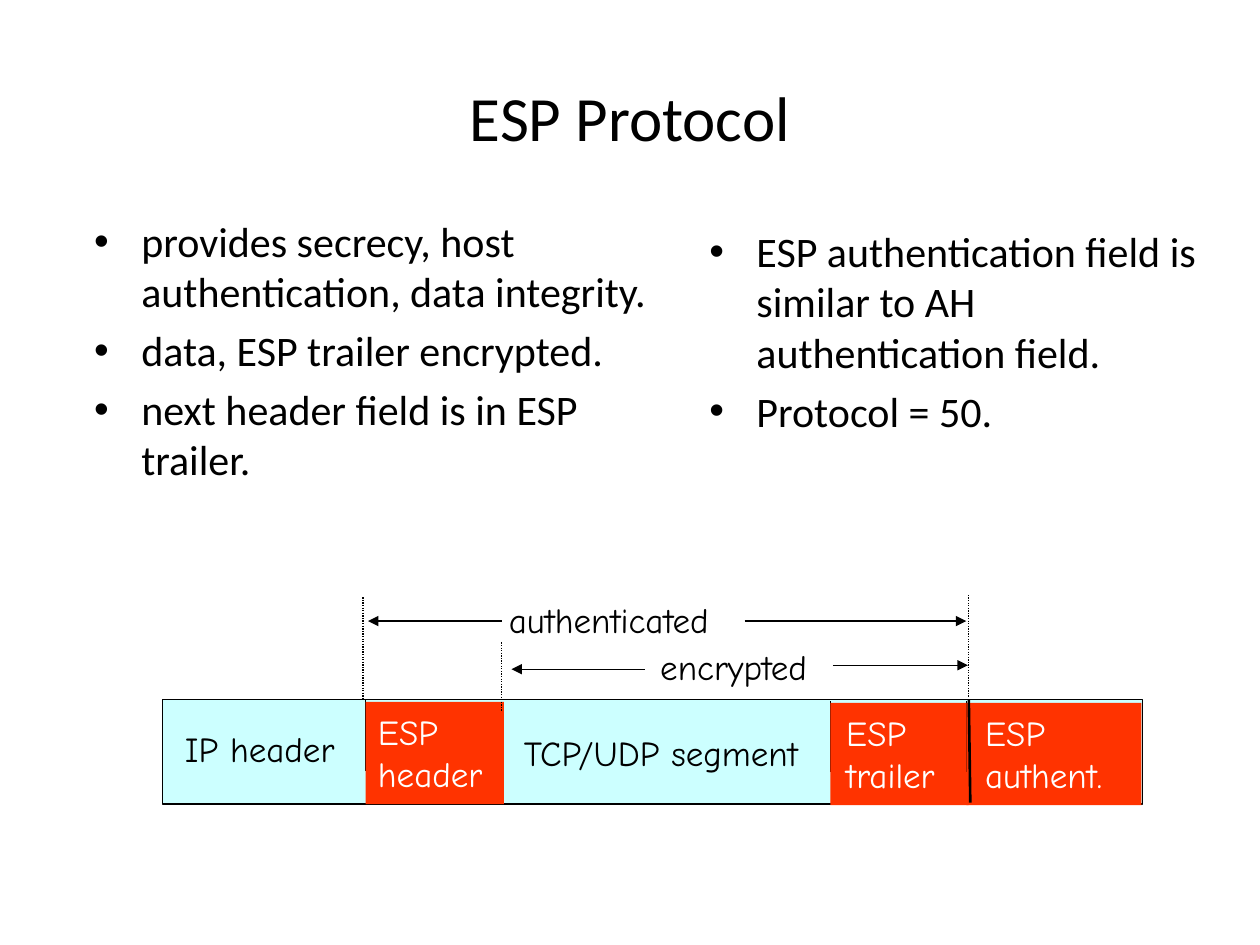
from lxml.etree import SubElement
from pptx import Presentation
from pptx.dml.color import RGBColor
from pptx.enum.dml import MSO_LINE
from pptx.enum.shapes import MSO_CONNECTOR, MSO_SHAPE
from pptx.enum.text import MSO_ANCHOR, PP_ALIGN
from pptx.oxml.ns import qn
from pptx.util import Cm, Pt

COLORS = {"black": "000000", "white": "FFFFFF", "cyan": "CCFFFF", "red": "FF3300"}
TITLE_FONT = {"name": "Calibri", "size": Pt(36)}
BODY_FONT = {"name": "Calibri", "size": Pt(24)}
LABEL_FONT = {"name": "Comic Neue", "size": Pt(20)}


def rgb(name):
    return RGBColor.from_string(COLORS[name])


def set_text(tf, lines, font, color="black"):
    tf.text = "\n".join(lines)
    for p in tf.paragraphs:
        for r in p.runs:
            for key, value in font.items():
                setattr(r.font, key, value)
            r.font.color.rgb = rgb(color)


def add_text(slide, box, lines, font, color="black", wrap=False):
    tf = slide.shapes.add_textbox(*map(Cm, box)).text_frame
    tf.word_wrap = wrap
    set_text(tf, lines, font, color)
    return tf


def add_rect(slide, box, fill, line=None):
    sp = slide.shapes.add_shape(MSO_SHAPE.RECTANGLE, *map(Cm, box))
    sp.shadow.inherit = False
    sp.fill.solid()
    sp.fill.fore_color.rgb = rgb(fill)
    if line:
        sp.line.color.rgb = rgb(line)
        sp.line.width = Pt(0.75)
    else:
        sp.line.fill.background()


def add_line(slide, ends, width=0.75, dotted=False, arrow=False):
    cxn = slide.shapes.add_connector(MSO_CONNECTOR.STRAIGHT, *map(Cm, ends))
    cxn.line.color.rgb = rgb("black")
    cxn.line.width = Pt(width)
    if dotted:
        cxn.line.dash_style = MSO_LINE.ROUND_DOT
    spPr = cxn.line._get_or_add_ln().getparent()
    if arrow:
        SubElement(spPr.find(qn("a:ln")), qn("a:tailEnd"), type="triangle")
    SubElement(spPr, qn("a:effectLst"))


def add_title(slide, box, text):
    title = slide.shapes.title
    for key, value in zip(("left", "top", "width", "height"), box):
        setattr(title, key, Cm(value))
    tf = title.text_frame
    tf.vertical_anchor = MSO_ANCHOR.MIDDLE
    set_text(tf, [text], TITLE_FONT)
    tf.paragraphs[0].alignment = PP_ALIGN.CENTER


def add_bullets(slide, box, lines):
    tf = add_text(slide, box, lines, BODY_FONT, wrap=True)
    for p in tf.paragraphs:
        p.space_before = Pt(4.8)
        pPr = p._p.get_or_add_pPr()
        pPr.set("marL", str(Cm(0.95)))
        pPr.set("indent", str(-Cm(0.95)))
        SubElement(pPr, qn("a:buFont"), typeface="Arial")
        SubElement(pPr, qn("a:buChar"), char="•")


def add_packet(slide, box):
    x, y, w, h = box
    bar_top, bar_h = 2.16, h - 2.16

    def line(x1, y1, x2, y2, **style):
        add_line(slide, (x + x1, y + y1, x + x2, y + y2), **style)

    # Whole packet
    add_rect(slide, (x, y + bar_top, w, bar_h), "cyan", "black")

    # Plain fields and the names of the two spans
    for text, lx, ly, lw in (("IP header", 0.2, 2.61, 3.76),
                             ("TCP/UDP segment", 7.03, 2.69, 6.5),
                             ("encrypted", 9.78, 0.94, 3.86),
                             ("authenticated", 6.73, 0, 5.13)):
        add_text(slide, (x + lx, y + ly, lw, 1.09), [text], LABEL_FONT)

    # ESP fields
    for name, fx, fy, fw, inset in (("header", 4.09, 2.21, 2.79, 0),
                                    ("trailer", 13.46, 2.23, 2.79, 0.07),
                                    ("authent.", 16.2, 2.23, 3.53, 0.13)):
        line(fx, fy - 0.03, fx, fy + 1.4)
        add_rect(slide, (x + fx, y + fy, fw, 2.06), "red")
        add_text(slide, (x + fx + inset, y + fy + 0.05, fw - inset, 1.96),
                 ["ESP", name], LABEL_FONT, "white")
    line(16.25, bar_top, 16.28, 4.24, width=1.5)

    # Span arrows, drawn outward from the labels
    for start, end, ay in ((9.72, 7.03, 1.55), (13.51, 16.23, 1.47),
                           (6.83, 4.14, 0.58), (11.73, 16.2, 0.58)):
        line(start, ay, end, ay, arrow=True)

    # Dotted span limits
    for lx, top, bottom in ((4.04, 0.1, 2.16), (16.25, 0.05, 2.11), (6.83, 1.01, 2.39)):
        line(lx, top, lx, bottom, dotted=True)


def main():
    prs = Presentation()
    prs.slide_width, prs.slide_height = Cm(25.4), Cm(19.05)
    slide = prs.slides.add_slide(prs.slide_layouts[5])
    add_title(slide, (1.27, 0.76, 22.86, 3.18), "ESP Protocol")
    add_bullets(slide, (1.65, 4.22, 12.24, 6.88),
                ["provides secrecy, host authentication, data integrity.",
                 "data, ESP trailer encrypted.",
                 "next header field is in ESP trailer."])
    add_bullets(slide, (14.05, 4.42, 10.59, 6.83),
                ["ESP authentication field is similar to AH authentication field.",
                 "Protocol = 50."])
    add_packet(slide, (3.28, 11.94, 19.76, 4.27))
    prs.save("out.pptx")


if __name__ == "__main__":
    main()
